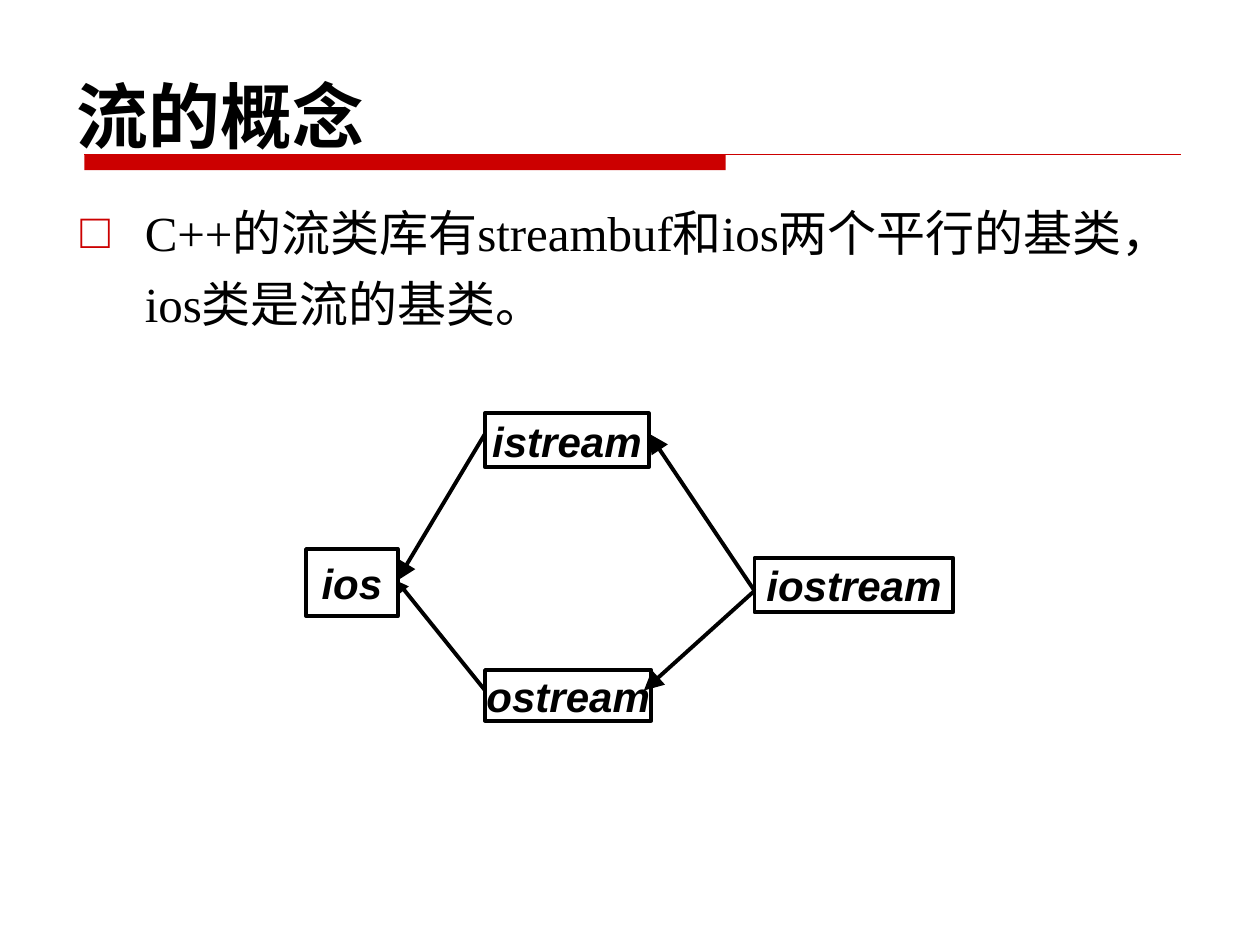
from typing import NamedTuple

from lxml.etree import SubElement
from pptx import Presentation
from pptx.dml.color import RGBColor
from pptx.enum.shapes import MSO_CONNECTOR as Connector, MSO_SHAPE as Preset
from pptx.enum.text import MSO_ANCHOR as Anchor, PP_ALIGN as Align
from pptx.oxml.ns import qn
from pptx.util import Cm, Pt

BLACK = RGBColor(0x00, 0x00, 0x00)
RED = RGBColor(0xCC, 0x00, 0x00)

TITLE_FONT = {"name": "Times New Roman", "size": Pt(41), "bold": True}
BODY_FONT = {"name": "Times New Roman", "size": Pt(28)}
CLASS_FONT = {"name": "Arial", "size": Pt(24), "bold": True, "italic": True}
TIGHT_FRAME = {"margin_left": 0, "margin_right": 0, "margin_top": 0, "margin_bottom": 0,
               "word_wrap": False, "vertical_anchor": Anchor.MIDDLE}


class ClassBox(NamedTuple):
    """A class in the diagram, measured in centimetres."""
    name: str
    left: float
    top: float
    width: float
    height: float


class Inheritance(NamedTuple):
    """An arrow from a derived class to its base, in centimetres."""
    derived: tuple[float, float]
    base: tuple[float, float]
    head_size: str = "lg"


IOS_PORT = (8.0, 11.71)
IOSTREAM_PORT = (15.21, 11.91)
ISTREAM_Y, OSTREAM_Y = 8.74, 13.92

CLASSES = [
    ClassBox("ostream", 9.78, 13.51, 3.35, 1.02),
    ClassBox("istream", 9.78, 8.33, 3.3, 1.09),
    ClassBox("ios", 6.17, 11.07, 1.85, 1.35),
    ClassBox("iostream", 15.21, 11.25, 4.01, 1.09),
]
INHERITANCES = [
    Inheritance(IOSTREAM_PORT, (13.08, ISTREAM_Y)),
    Inheritance(IOSTREAM_PORT, (12.98, OSTREAM_Y)),
    Inheritance((9.78, ISTREAM_Y), IOS_PORT),
    Inheritance((9.78, OSTREAM_Y), IOS_PORT, "med"),
]


def apply_format(target, values: dict) -> None:
    for attribute, value in values.items():
        setattr(target, attribute, value)


def write(paragraph, wording: str, font: dict) -> None:
    run = paragraph.add_run()
    run.text = wording
    apply_format(run.font, font)
    run.font.color.rgb = BLACK


def add_text(slide, left: float, top: float, width: float, height: float,
             wording: str, font: dict, anchor: Anchor):
    """Add a wrapped text box and return its paragraph."""
    frame = slide.shapes.add_textbox(Cm(left), Cm(top), Cm(width), Cm(height)).text_frame
    apply_format(frame, {"word_wrap": True, "vertical_anchor": anchor})
    paragraph = frame.paragraphs[0]
    write(paragraph, wording, font)
    return paragraph


def add_square_bullet(paragraph, indent: float) -> None:
    properties = paragraph._p.get_or_add_pPr()
    properties.set("marL", str(Cm(indent)))
    properties.set("indent", str(-Cm(indent)))
    colour = SubElement(properties, qn("a:buClr"))
    SubElement(colour, qn("a:srgbClr"), val=str(RED))
    SubElement(properties, qn("a:buFont"), typeface="Times New Roman")
    SubElement(properties, qn("a:buChar"), char="□")


def add_line(slide, start: tuple[float, float], end: tuple[float, float],
             colour: RGBColor, weight: float):
    connector = slide.shapes.add_connector(
        Connector.STRAIGHT, *(Cm(value) for value in (*start, *end)))
    connector.line.color.rgb = colour
    connector.line.width = Pt(weight)
    SubElement(connector._element.spPr, qn("a:effectLst"))
    return connector


def add_rule(slide) -> None:
    """Add the thick bar and thin line under the title."""
    left, top = 1.7, 3.12
    bar = slide.shapes.add_shape(Preset.RECTANGLE, Cm(left), Cm(top), Cm(12.93), Cm(0.31))
    bar.shadow.inherit = False
    bar.fill.solid()
    bar.fill.fore_color.rgb = RED
    bar.line.fill.background()
    add_line(slide, (left, top), (23.8, top), RED, 0.75)


def add_class(slide, box: ClassBox) -> None:
    shape = slide.shapes.add_shape(Preset.RECTANGLE, *(Cm(value) for value in box[1:]))
    shape.shadow.inherit = False
    shape.fill.background()
    shape.line.color.rgb = BLACK
    shape.line.width = Pt(2.25)
    apply_format(shape.text_frame, TIGHT_FRAME)
    label = shape.text_frame.paragraphs[0]
    label.alignment = Align.CENTER
    write(label, box.name, CLASS_FONT)


def add_inheritance(slide, link: Inheritance) -> None:
    arrow = add_line(slide, link.derived, link.base, BLACK, 2.25)
    SubElement(arrow.line._get_or_add_ln(), qn("a:tailEnd"),
               type="triangle", w=link.head_size, len=link.head_size)


def main() -> None:
    deck = Presentation()
    deck.slide_width, deck.slide_height = Cm(25.4), Cm(19.05)
    slide = deck.slides.add_slide(deck.slide_layouts[6])

    add_rule(slide)
    add_text(slide, 1.3, 0.13, 22.86, 3.18, "流的概念", TITLE_FONT, Anchor.BOTTOM)
    statement = add_text(
        slide, 1.37, 3.73, 23.42, 12.57,
        "C++的流类库有streambuf和ios两个平行的基类，ios类是流的基类。",
        BODY_FONT, Anchor.TOP)
    apply_format(statement, {"line_spacing": 1.2, "space_before": Pt(2.8)})
    add_square_bullet(statement, 1.3)

    for box in CLASSES:
        add_class(slide, box)
    for link in INHERITANCES:
        add_inheritance(slide, link)
    deck.save("out.pptx")


if __name__ == "__main__":
    main()
